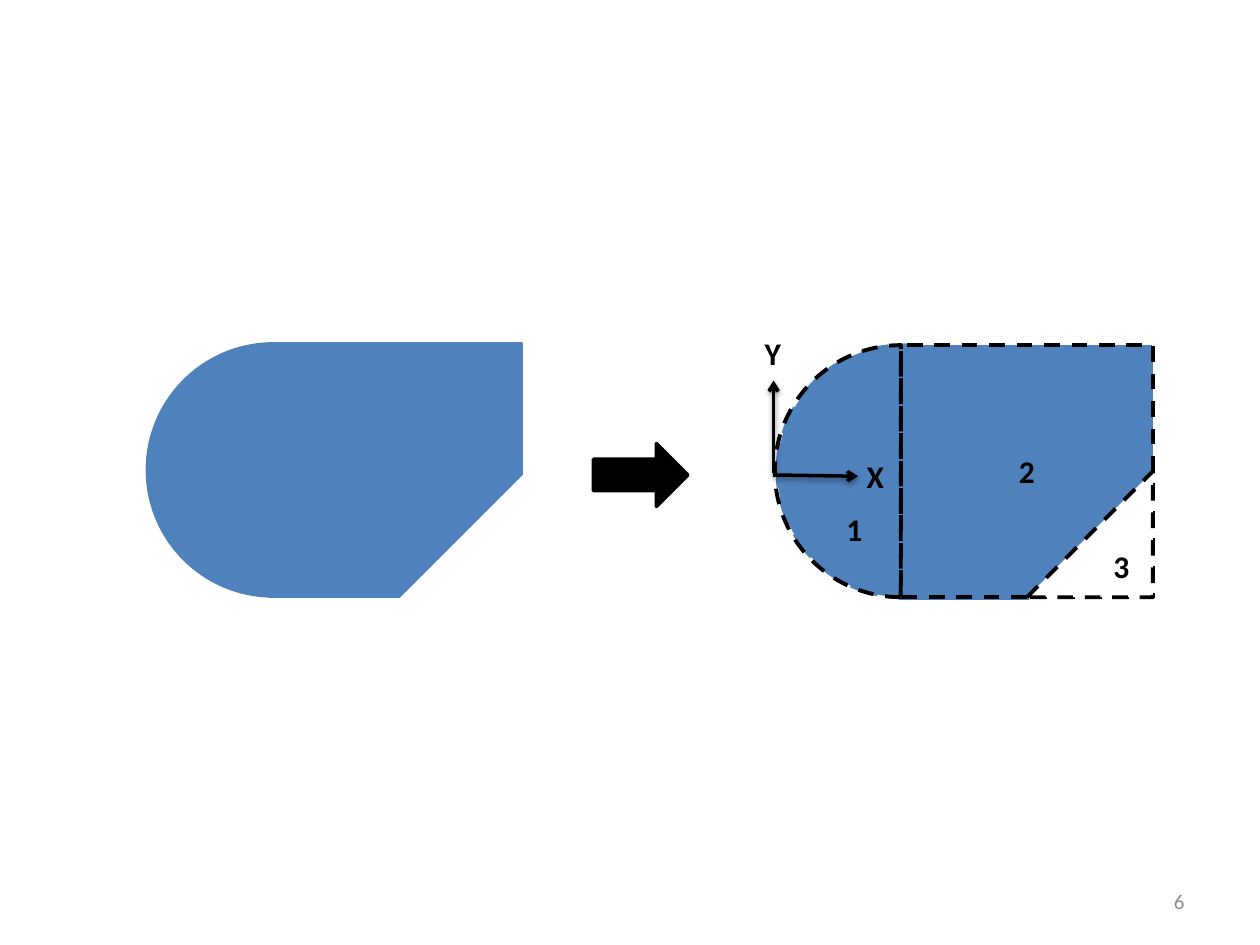
from lxml import etree
from pptx import Presentation
from pptx import util as u
from pptx.dml.color import RGBColor
from pptx.enum import dml, shapes, text
from pptx.oxml import parse_xml
from pptx.oxml.ns import nsdecls, qn

BLUE = RGBColor(0x4F, 0x81, 0xBD)
BLACK = RGBColor(0, 0, 0)
WHITE = RGBColor(255, 255, 255)
GREY = RGBColor(0x8C, 0x8C, 0x8C)
COLS, ROWS = 10, 7.5
CELL = u.Inches(1)  # one grid cell is a square; the radius of the arc
SHAPE, DASH = shapes.MSO_SHAPE, dml.MSO_LINE

prs = Presentation()
prs.slide_width, prs.slide_height = int(COLS * CELL), int(ROWS * CELL)
s = prs.slides.add_slide(prs.slide_layouts[6])


def write(sp, label, align, size=18, color=BLACK, bold=True):
    p = sp.text_frame.paragraphs[0]
    p.alignment = align
    r = p.add_run()
    r.text = label
    for name, value in {"name": "Calibri", "size": u.Pt(size), "bold": bold}.items():
        setattr(r.font, name, value)
    r.font.color.rgb = color


def add_part(kind, col, row, w, h, fill=None, line=None, width=2, dash=None,
             adj=(), label=None):
    sp = s.shapes.add_shape(kind, *(int(v * CELL) for v in (col, row, w, h)))
    sp.shadow.inherit = False
    for i, value in enumerate(adj):
        sp.adjustments[i] = value
    for target, color in ((sp.fill, fill), (sp.line.fill, line)):
        if color is None:
            target.background()
        else:
            target.solid()
            target.fore_color.rgb = color
    if line is not None:
        sp.line.width = u.Pt(width)
        sp.line.dash_style = dash
    if label:
        sp.text_frame.vertical_anchor = text.MSO_ANCHOR.MIDDLE
        write(sp, label, text.PP_ALIGN.CENTER)


# Right: the area split into half disc (1), square (2) and cut-off corner (3)
solid = dict(fill=BLUE, line=BLUE)
outline = dict(line=BLACK, width=2.25, dash=DASH.DASH)
add_part(SHAPE.RECTANGLE, 7.14, 2.75, 2, 2, **solid)
add_part(SHAPE.OVAL, 6.17, 2.74, 2, 2, dash=DASH.LONG_DASH, **solid)
add_part(SHAPE.ISOSCELES_TRIANGLE, 8.18, 3.75, 1, 1, WHITE, WHITE, adj=[1])
add_part(SHAPE.PIE, 6.15, 2.74, 2, 2, adj=[54.03, 162], **outline)
add_part(SHAPE.RECTANGLE, 7.15, 2.74, 2, 2, label="2", **outline)
add_part(SHAPE.ISOSCELES_TRIANGLE, 8.15, 3.74, 1, 1, WHITE, adj=[1], label="3", **outline)

# Left: the whole area
add_part(SHAPE.RECTANGLE, 2.14, 2.73, 2, 2, **solid)
add_part(SHAPE.OVAL, 1.17, 2.73, 2, 2, **solid)
add_part(SHAPE.ISOSCELES_TRIANGLE, 3.17, 3.75, 1, 1, WHITE, adj=[1])

add_part(SHAPE.RIGHT_ARROW, 4.71, 3.52, 0.75, 0.5, BLACK, BLACK)

# Axes
for ends in ((6.14, 3.77, 6.81, 3.78), (6.14, 3.75, 6.14, 3.02)):
    axis = s.shapes.add_connector(shapes.MSO_CONNECTOR.STRAIGHT,
                                  *(int(v * CELL) for v in ends))
    axis.line.color.rgb = BLACK
    axis.line.width = u.Pt(2)
    etree.SubElement(axis.line._get_or_add_ln(), qn("a:tailEnd"), type="arrow")
    axis._element.spPr.append(parse_xml(
        f'<a:effectLst {nsdecls("a")}>'
        f'<a:outerShdw blurRad="{u.Pt(3.1)}" dist="{u.Pt(1.6)}" dir="5400000" rotWithShape="0">'
        '<a:srgbClr val="000000"><a:alpha val="38000"/></a:srgbClr>'
        '</a:outerShdw></a:effectLst>'))

# Free labels
for label, col, row, w in (("X", 6.78, 3.58, 0.37), ("Y", 5.97, 2.6, 0.37),
                           ("1", 6.62, 4, 0.33)):
    sp = s.shapes.add_textbox(*(int(v * CELL) for v in (col, row, w, 0.4)))
    sp.text_frame.word_wrap = False
    sp.text_frame.auto_size = text.MSO_AUTO_SIZE.SHAPE_TO_FIT_TEXT
    write(sp, label, text.PP_ALIGN.LEFT)

# Slide number
sp = s.shapes.add_textbox(*(int(v * CELL) for v in (7.17, 6.95, 2.33, 0.4)))
sp.text_frame.word_wrap = True
sp.text_frame.vertical_anchor = text.MSO_ANCHOR.MIDDLE
write(sp, "6", text.PP_ALIGN.RIGHT, 12, GREY, False)

prs.save("out.pptx")
